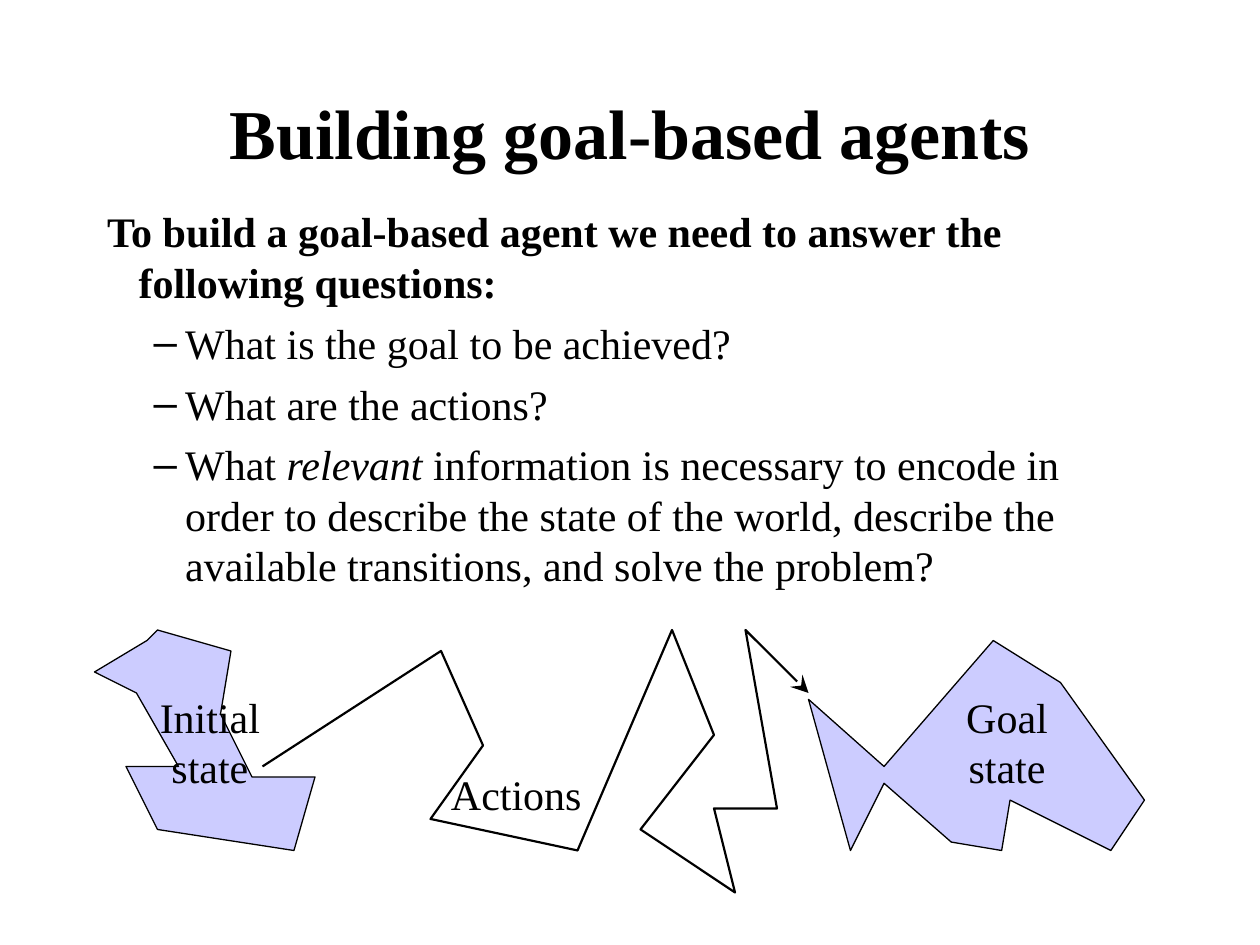
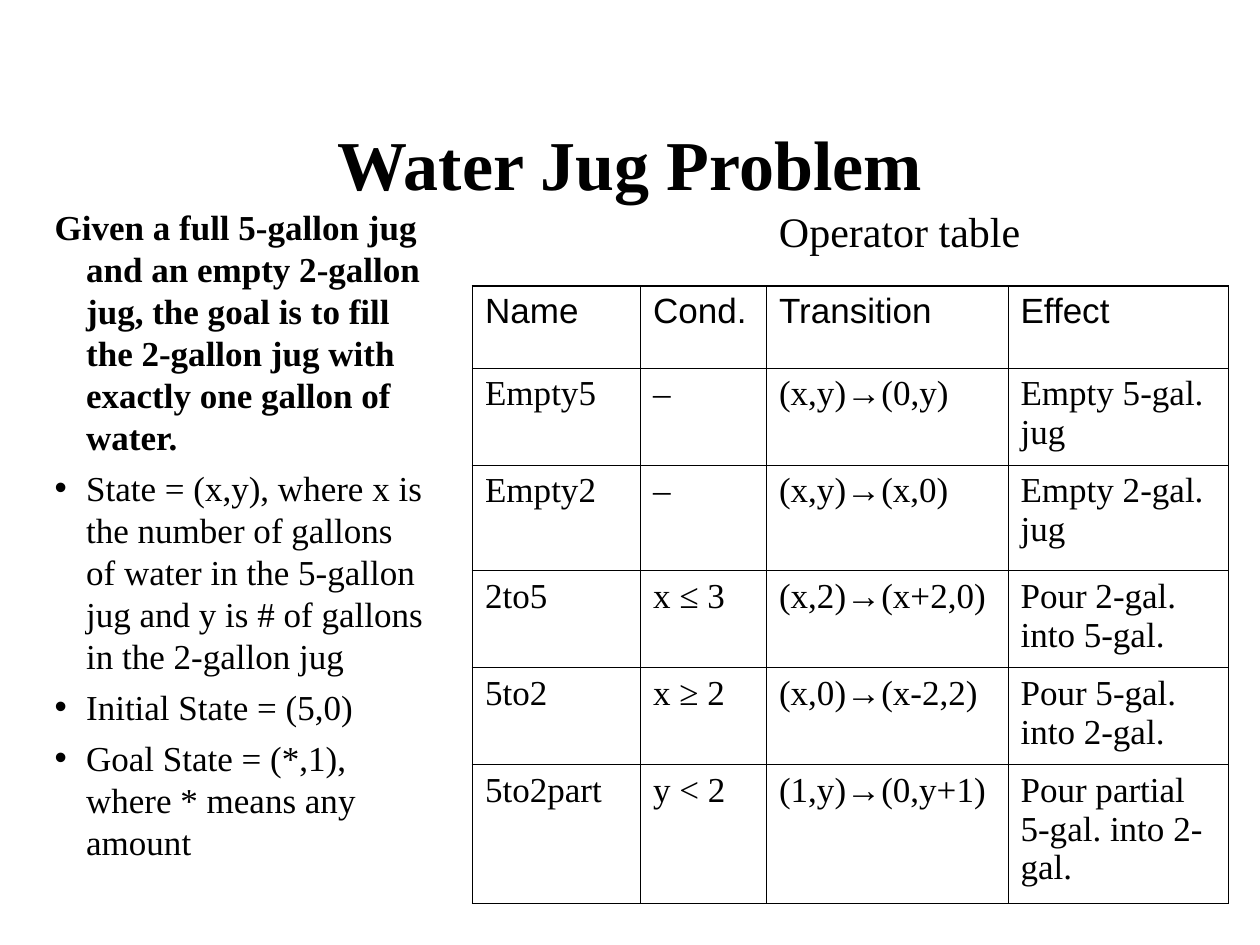
from lxml import etree
from pptx import Presentation
from pptx import util as u
from pptx.dml.color import RGBColor
from pptx.enum import text as t
from pptx.oxml import ns

Pt = u.Pt
BLACK = RGBColor(0x00, 0x00, 0x00)
LAVENDER = RGBColor(0xCC, 0xCC, 0xFF)
SERIF, SANS = "Times New Roman", "Arial"
OUTER_EDGE, INNER_EDGE = 1.08, 0.45


# Text
def write(paragraph, content, size=24, font=SERIF, bold=False, align=None,
          leading=1.2, before=0, bullet=None, level=0, indent=None):
    """Fill a paragraph; words between underscores become italic."""
    if indent is not None:
        p_pr = paragraph._p.get_or_add_pPr()
        p_pr.set("marL", str(Pt(indent)))
        p_pr.set("indent", str(Pt(-18)))
        if bullet:
            etree.SubElement(p_pr, ns.qn("a:buChar")).set("char", bullet)
        else:
            etree.SubElement(p_pr, ns.qn("a:buNone"))
    paragraph.level = level
    paragraph.alignment = align
    paragraph.line_spacing = Pt(size * leading)
    paragraph.space_before = Pt(before)
    for number, part in enumerate(content.split("_")):
        if part:
            run = paragraph.add_run()
            run.text = part
            run.font.name, run.font.size = font, Pt(size)
            run.font.bold, run.font.italic = bold, number % 2 == 1
            run.font.color.rgb = BLACK


def place(placeholder, left, top, width, height):
    placeholder.left, placeholder.top = Pt(left), Pt(top)
    placeholder.width, placeholder.height = Pt(width), Pt(height)
    placeholder.text_frame.auto_size = t.MSO_AUTO_SIZE.NONE


def add_titled_slide(deck, heading, top):
    slide = deck.slides.add_slide(deck.slide_layouts[1])
    title = slide.shapes.title
    place(title, 54, top, 612, 90)
    title.text_frame.vertical_anchor = t.MSO_ANCHOR.MIDDLE
    write(title.text_frame.paragraphs[0], heading, size=40, bold=True,
          align=t.PP_ALIGN.CENTER)
    return slide


def fill_body(slide, box, intro, points, size, gap, **point_format):
    body = slide.placeholders[1]
    place(body, *box)
    frame = body.text_frame
    write(frame.paragraphs[0], intro, size=size, bold=True, indent=18)
    for point in points:
        write(frame.add_paragraph(), point, size=size, before=gap, **point_format)


def add_label(slide, box, lines, align=t.PP_ALIGN.LEFT):
    frame = slide.shapes.add_textbox(*map(Pt, box)).text_frame
    frame.word_wrap = True
    frame.auto_size = t.MSO_AUTO_SIZE.NONE
    for number, line in enumerate(lines):
        paragraph = frame.add_paragraph() if number else frame.paragraphs[0]
        write(paragraph, line, align=align)


# Outlines
def add_outline(slide, corners, weight, fill=None, arrow=False):
    start, *others = [(Pt(x), Pt(y)) for x, y in corners]
    builder = slide.shapes.build_freeform(*start)
    builder.add_line_segments(others, close=fill is not None)
    outline = builder.convert_to_shape()
    outline.shadow.inherit = False
    if fill is None:
        outline.fill.background()
    else:
        outline.fill.solid()
        outline.fill.fore_color.rgb = fill
    outline.line.color.rgb = BLACK
    outline.line.width = Pt(weight)
    if arrow:
        line_xml = outline.line._get_or_add_ln()
        head = etree.SubElement(line_xml, ns.qn("a:tailEnd"))
        for key, value in (("type", "stealth"), ("w", "lg"), ("len", "lg")):
            head.set(key, value)


# Table
def set_edge(cell, side, weight):
    edge = etree.SubElement(cell._tc.get_or_add_tcPr(), ns.qn(f"a:ln{side}"))
    edge.set("w", str(Pt(weight)))
    paint = etree.SubElement(edge, ns.qn("a:solidFill"))
    etree.SubElement(paint, ns.qn("a:srgbClr")).set("val", str(BLACK))


def add_grid(slide, left, top, widths, heights, rows):
    grid = slide.shapes.add_table(
        len(rows), len(widths), Pt(left), Pt(top),
        Pt(sum(widths)), Pt(sum(heights))).table
    grid.first_row = grid.horz_banding = False
    for column, width in zip(grid.columns, widths):
        column.width = Pt(width)
    for row, height in zip(grid.rows, heights):
        row.height = Pt(height)
    for r, entries in enumerate(rows):
        for c, entry in enumerate(entries):
            cell = grid.cell(r, c)
            outer_sides = {"L": c == 0, "R": c == len(widths) - 1,
                           "T": r == 0, "B": r == len(rows) - 1}
            for side, is_outer in outer_sides.items():
                set_edge(cell, side, OUTER_EDGE if is_outer else INNER_EDGE)
            cell.fill.background()
            write(cell.text_frame.paragraphs[0], entry, size=20, leading=1.11,
                  font=SERIF if r else SANS)


# Slides
def build_agents(deck):
    slide = add_titled_slide(deck, "Building goal-based agents", 30)
    questions = [
        "What is the goal to be achieved?",
        "What are the actions?",
        "What _relevant_ information is necessary to encode in order to "
        "describe the state of the world, describe the available "
        "transitions, and solve the problem?",
    ]
    fill_body(slide, (54, 114, 612, 234),
              "To build a goal-based agent we need to answer the "
              "following questions:",
              questions, 24, 6, bullet="–", level=1, indent=44.64)

    initial_region = [
        (90, 360), (132, 372), (126, 408), (144, 444), (180, 444), (168, 486),
        (90, 474), (72, 438), (102, 438), (78, 396), (54, 384), (84, 366)]
    goal_region = [
        (505.2, 438), (567.6, 366), (606, 390), (654, 457.2), (634.8, 486),
        (577.2, 457.2), (572.4, 486), (543.6, 481.2), (505.2, 447.6),
        (486, 486), (462, 399.6)]
    action_route = [
        (150, 438), (252, 372), (276, 426), (246, 468), (330, 486), (384, 360),
        (408, 420), (366, 474), (420, 510), (408, 462), (444, 462), (426, 360),
        (462, 396)]
    for region in (initial_region, goal_region):
        add_outline(slide, region, 0.75, fill=LAVENDER)
    for left, lines in ((80, ["Initial", "state"]), (535.5, ["Goal", "state"])):
        add_label(slide, (left, 391.4, 80, 64.8), lines, t.PP_ALIGN.CENTER)
    add_outline(slide, action_route, 1.25, arrow=True)
    add_label(slide, (250.6, 435.6, 96, 36), ["Actions"])


def build_water_jugs(deck):
    slide = add_titled_slide(deck, "Water Jug Problem", 48)
    states = [
        "State = (x,y), where x is the number of gallons of water in the "
        "5-gallon jug and y is # of gallons in the 2-gallon jug",
        "Initial State = (5,0)",
        "Goal State = (*,1), where * means any amount",
    ]
    fill_body(slide, (24, 114, 228, 396),
              "Given a full 5-gallon jug and an empty 2-gallon jug, the goal "
              "is to fill the 2-gallon jug with exactly one gallon of water.",
              states, 20, 5, bullet="•", indent=18)
    operators = [
        ("Name", "Cond.", "Transition", "Effect"),
        ("Empty5", "–", "(x,y)_→_(0,y)", "Empty 5-gal. jug"),
        ("Empty2", "–", "(x,y)→(x,0)", "Empty 2-gal. jug"),
        ("2to5", "x _≤ _3", "(x,2)→(x+2,0)", "Pour 2-gal. into 5-gal."),
        ("5to2", "x ≥ 2", "(x,0)→(x-2,2)", "Pour 5-gal. into 2-gal."),
        ("5to2part", "y < 2", "(1,y)→(0,y+1)", "Pour partial 5-gal. into 2-gal."),
    ]
    add_grid(slide, 270, 163.4, (96, 72, 138, 126),
             (47, 55.4, 60.4, 55.4, 55.4, 79.4), operators)
    add_label(slide, (438, 114, 168, 36), ["Operator table"])


def main():
    deck = Presentation()
    deck.slide_width, deck.slide_height = Pt(720), Pt(540)
    build_agents(deck)
    build_water_jugs(deck)
    deck.save("out.pptx")


if __name__ == "__main__":
    main()
